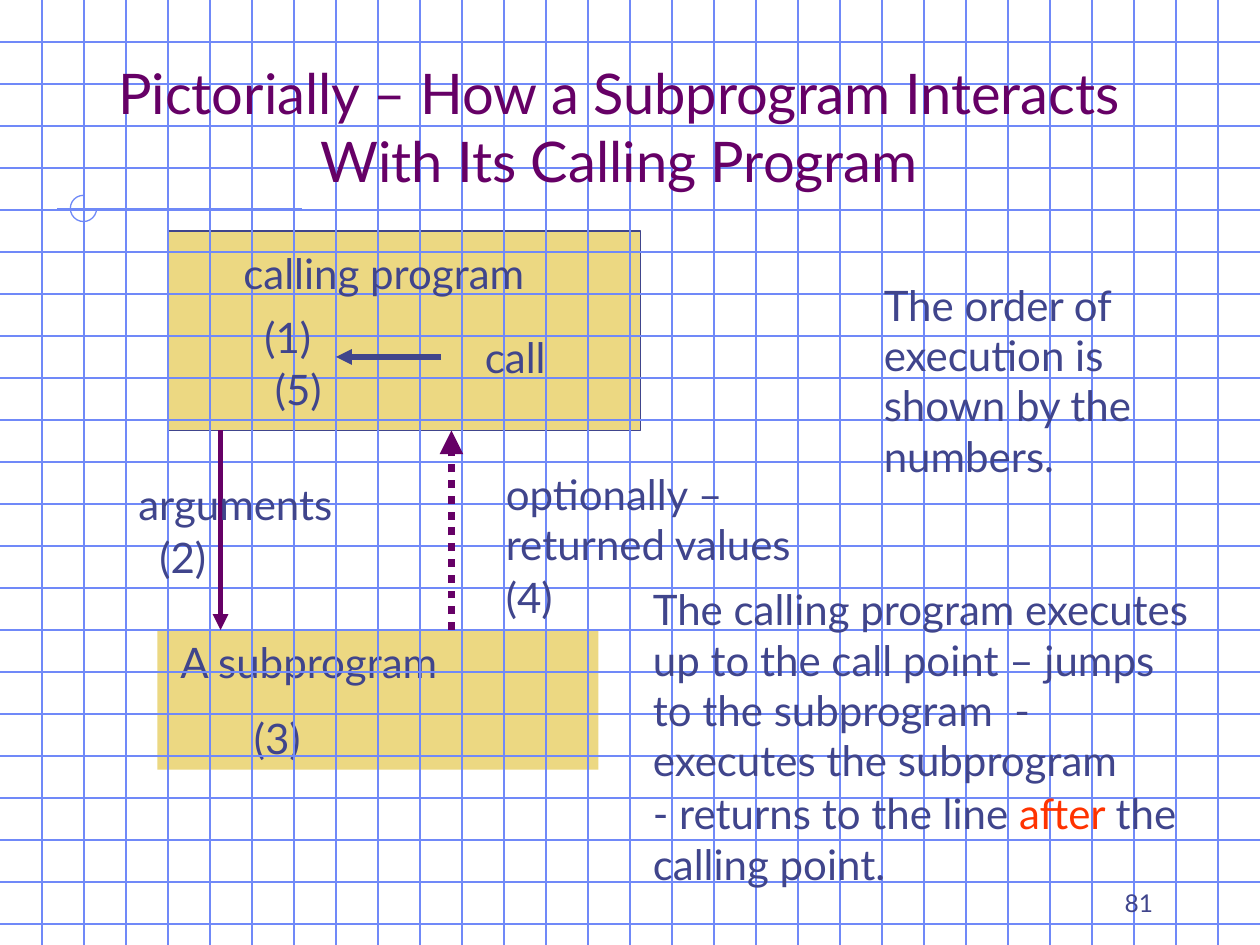
from lxml import etree
from pptx import Presentation
from pptx import util as u
from pptx.dml import color
from pptx.enum import dml, shapes, text
from pptx.oxml import ns

COLUMNS, ROWS = 120, 90
GRID, ORNAMENT, INK, PLUM, SAND, RED = "7089F8", "6F89F7", "40458C", "660066", "ECD882", "FF3300"

deck = Presentation()
deck.slide_width, deck.slide_height = u.Inches(10), u.Inches(7.5)
page = deck.slides.add_slide(deck.slide_layouts[6])
cell = deck.slide_width / COLUMNS


def hue(code):
    return color.RGBColor.from_string(code)


def grid(*steps):
    return [int(step * cell) for step in steps]


page.background.fill.solid()
page.background.fill.fore_color.rgb = hue("FFFFFF")

rules = [(0, row, COLUMNS, row, GRID, 0.75, None, False) for row in range(4, ROWS, 4)]
rules += [(column, 0, column, ROWS, GRID, 0.75, None, False) for column in range(4, COLUMNS, 4)]
rules += [
    (116, 0, 116, 31, ORNAMENT, 0.75, None, False),
    (28.8, 19.9, 5.4, 19.9, ORNAMENT, 0.75, None, False),
    (8, 18.6, 8, 49.1, ORNAMENT, 0.75, None, False),
]
arrows = [
    (21, 41, 21, 60, PLUM, 3, None, True),
    (43, 60, 43, 41, PLUM, 4.5, dml.MSO_LINE.ROUND_DOT, True),
    (42, 34, 32, 34, INK, 3, None, True),
]

arc = page.shapes.add_shape(shapes.MSO_SHAPE.ARC, *grid(6.7, 18.6, 2.5, 2.5))
arc.adjustments[0], arc.adjustments[1] = 0, 162
arc.fill.background()
arc.line.color.rgb = hue(ORNAMENT)

caller = page.shapes.add_shape(shapes.MSO_SHAPE.RECTANGLE, *grid(16, 22, 45, 19))
subprogram = page.shapes.add_shape(shapes.MSO_SHAPE.RECTANGLE, *grid(15, 60, 42, 13.3))
for box in (caller, subprogram):
    box.fill.solid()
    box.fill.fore_color.rgb = hue(SAND)
caller.line.color.rgb = hue(INK)
subprogram.line.fill.background()
for shape in (arc, caller, subprogram):
    shape.shadow.inherit = False
for shape in (arc, caller):
    shape.line.width = u.Pt(0.75)

for left, top, right, bottom, code, width, dash, pointed in rules + arrows:
    line = page.shapes.add_connector(shapes.MSO_CONNECTOR.STRAIGHT, *grid(left, top, right, bottom))
    line.line.color.rgb = hue(code)
    line.line.width = u.Pt(width)
    if dash:
        line.line.dash_style = dash
    if pointed:
        etree.SubElement(line.line._get_or_add_ln(), ns.qn("a:tailEnd"), type="triangle")
    etree.SubElement(line._element.spPr, ns.qn("a:effectLst"))

LEFT, CENTER, RIGHT = text.PP_ALIGN.LEFT, text.PP_ALIGN.CENTER, text.PP_ALIGN.RIGHT
TOP, BOTTOM = text.MSO_ANCHOR.TOP, text.MSO_ANCHOR.BOTTOM
heading = {"size": 32, "code": PLUM, "align": CENTER, "anchor": BOTTOM}
body = {"size": 24, "code": INK, "align": LEFT, "anchor": TOP}
footer = {"size": 14, "code": INK, "align": RIGHT, "anchor": BOTTOM}

labels = [
    ((8, 4, 102, 15), heading, 0,
     [(0, ["Pictorially – How a Subprogram Interacts With Its Calling Program"])]),
    (subprogram, body, 15, [(1, ["A subprogram"]), (8, ["(3)"])]),
    ((12, 45, 23, 15.8), body, 1.5, [(0, ["arguments"]), (2, ["(2)"])]),
    ((47, 44, 36, 15.8), body, 1.5, [(0, ["optionally – returned values"]), (0, ["(4)"])]),
    ((22, 23, 37, 18.1), body, 7.5, [(0, ["calling program"]), (2, ["(1)"])]),
    ((25, 34, 11, 6), body, 0, [(0, ["(5)"])]),
    ((83, 26, 29, 20.4), body, 0, [(0, ["The order of execution is shown by the numbers."])]),
    ((61, 55, 54, 35), body, 1.5, [
        (0, ["The calling program executes up to the call point – jumps "
             "to the subprogram  - executes the subprogram"]),
        (0, ["- returns to the line ", "after ", "the calling point."]),
    ]),
    ((45, 31, 12, 6), body, 0, [(0, ["call"])]),
    ((86, 82, 25, 6), footer, 0, [(0, ["81"])]),
]

for place, style, gap, paragraphs in labels:
    box = page.shapes.add_textbox(*grid(*place)) if isinstance(place, tuple) else place
    frame = box.text_frame
    frame_format = {
        "word_wrap": True, "vertical_anchor": style["anchor"],
        "margin_left": u.Inches(0.1), "margin_right": u.Inches(0.1),
        "margin_top": u.Inches(0.05), "margin_bottom": u.Inches(0.05),
    }
    for name, value in frame_format.items():
        setattr(frame, name, value)
    for number, (indent, pieces) in enumerate(paragraphs):
        para = frame.add_paragraph() if number else frame.paragraphs[0]
        para.alignment = style["align"]
        para.space_before = u.Pt(gap if number else 0)
        if indent:
            para._p.get_or_add_pPr().set("marL", str(grid(indent)[0]))
        for piece in pieces:
            span = para.add_run()
            span.text = piece
            for name, value in {"name": "Lato", "size": u.Pt(style["size"])}.items():
                setattr(span.font, name, value)
            span.font.color.rgb = hue(RED if piece == "after " else style["code"])

deck.save("out.pptx")
